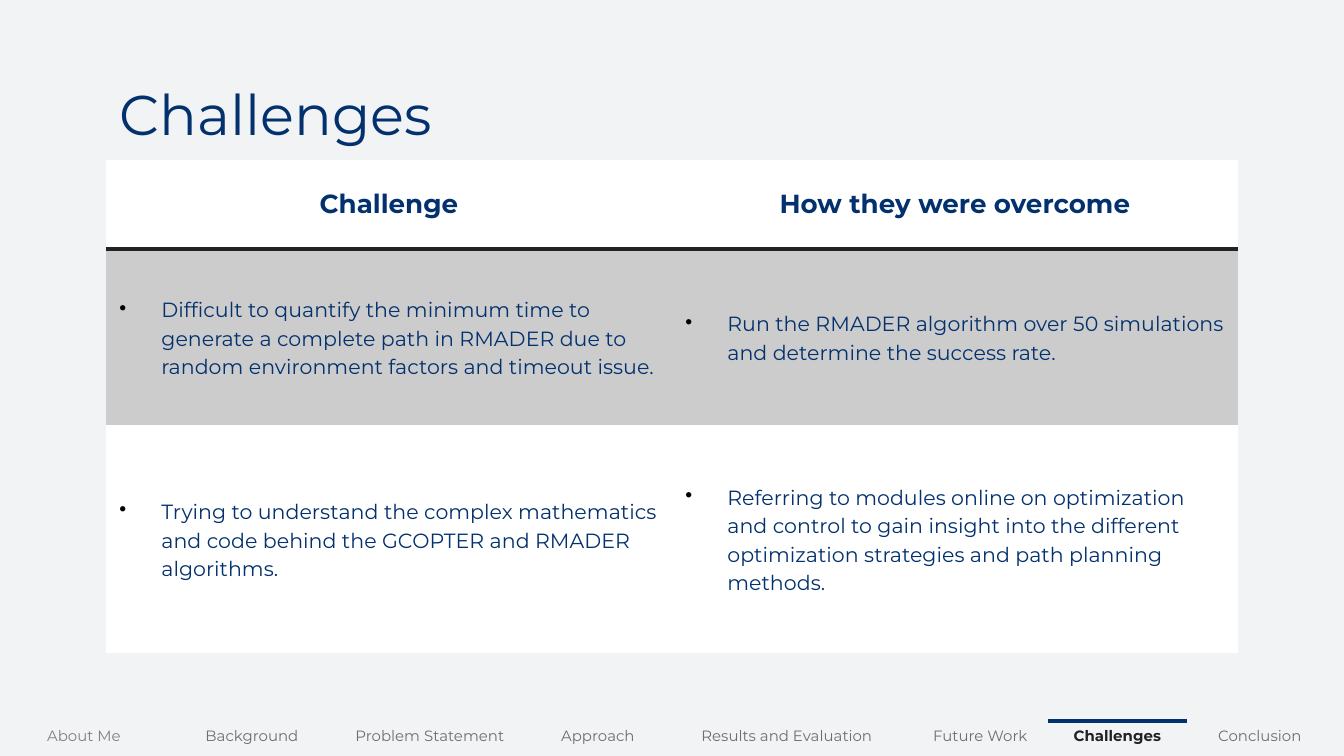
from lxml import etree
from pptx import Presentation
from pptx.dml.color import RGBColor
from pptx.enum.shapes import MSO_CONNECTOR
from pptx.enum.text import MSO_ANCHOR, MSO_AUTO_SIZE, PP_ALIGN
from pptx.oxml import parse_xml
from pptx.oxml.ns import nsdecls, qn
from pptx.util import Pt

# Content
TITLE = "Challenges"
HEADERS = ["Challenge", "How they were overcome"]
CHALLENGES = [
    ("Difficult to quantify the minimum time to generate a complete path in RMADER "
     "due to random environment factors and timeout issue.",
     "Run the RMADER algorithm over 50 simulations and determine the success rate."),
    ("Trying to understand the complex mathematics and code behind the GCOPTER and "
     "RMADER algorithms.",
     "Referring to modules online on optimization and control to gain insight into "
     "the different optimization strategies and path planning methods."),
]
SECTIONS = [  # name, column width
    ("About Me", 168), ("Background", 168), ("Problem Statement", 188),
    ("Approach", 148), ("Results and Evaluation", 230), ("Future Work", 157),
    ("Challenges", 117), ("Conclusion", 168),
]

# Style
FONT = "Montserrat"
NAVY = RGBColor(0x03, 0x31, 0x6E)
INK = RGBColor(0x22, 0x22, 0x22)
GREY = RGBColor(0x6E, 0x6E, 0x6E)
LIGHT_GREY = RGBColor(0x80, 0x80, 0x80)
BAND = RGBColor(0xCC, 0xCC, 0xCC)
WHITE = RGBColor(0xFF, 0xFF, 0xFF)
BACKGROUND = RGBColor(0xF1, 0xF3, 0xF5)
PLAIN_TABLE = "{2D5ABB26-0587-4C30-8999-92F81FD0307C}"

# Layout in px
WIDTH, HEIGHT = 1344, 756
LEFT, CONTENT_WIDTH = 106, 1132
TABLE_TOP, ROW_HEIGHTS = 160, [89, 176, 228]
NAV_TOP, NAV_HEIGHT = 720, 35
MARKER_OVERHANG = 11
INDENT = 42


def px(length):
    return round(length * 914400 / 134.4)


def set_text(paragraph, text, size, color, bold=False, align=PP_ALIGN.LEFT):
    paragraph.text = text
    paragraph.alignment = align
    formats = {"name": FONT, "size": Pt(size), "bold": bold}
    for name, value in formats.items():
        setattr(paragraph.font, name, value)
    paragraph.font.color.rgb = color


def add_plain_table(left, top, widths, heights):
    frame = slide.shapes.add_table(len(heights), len(widths), px(left), px(top),
                                   px(sum(widths)), px(sum(heights)))
    table = frame.table
    table.first_row = table.horz_banding = False
    table._tbl.tblPr.find(qn("a:tableStyleId")).text = PLAIN_TABLE
    for column, width in zip(table.columns, widths):
        column.width = px(width)
    for row, height in zip(table.rows, heights):
        row.height = px(height)
    return table


def add_bullet(paragraph):
    properties = paragraph._p.get_or_add_pPr()
    properties.set("marL", str(px(INDENT)))
    properties.set("indent", str(-px(INDENT)))
    color = etree.SubElement(properties, qn("a:buClr"))
    etree.SubElement(color, qn("a:srgbClr"), val="000000")
    etree.SubElement(properties, qn("a:buChar"), char="•")
    paragraph.line_spacing = 1.14


def add_bottom_border(cell, color, points):
    cell._tc.get_or_add_tcPr().insert(0, parse_xml(
        f'<a:lnB {nsdecls("a")} w="{Pt(points)}"><a:solidFill>'
        f'<a:srgbClr val="{color}"/></a:solidFill></a:lnB>'))


presentation = Presentation()
presentation.slide_width, presentation.slide_height = px(WIDTH), px(HEIGHT)
slide = presentation.slides.add_slide(presentation.slide_layouts[5])
slide.background.fill.solid()
slide.background.fill.fore_color.rgb = BACKGROUND

# Title
title = slide.shapes.title
title.left, title.top, title.width, title.height = map(px, (LEFT, 66, CONTENT_WIDTH, 85))
title_format = {
    "auto_size": MSO_AUTO_SIZE.NONE, "vertical_anchor": MSO_ANCHOR.TOP, "word_wrap": True,
    **{f"margin_{side}": Pt(7.2) for side in ("left", "top", "right", "bottom")},
}
for name, value in title_format.items():
    setattr(title.text_frame, name, value)
set_text(title.text_frame.paragraphs[0], TITLE, 30, NAVY)

# Table of challenges
column_widths = [CONTENT_WIDTH // len(HEADERS)] * len(HEADERS)
table = add_plain_table(LEFT, TABLE_TOP, column_widths, ROW_HEIGHTS)
for row, texts in enumerate([HEADERS, *CHALLENGES]):
    for column, text in enumerate(texts):
        cell = table.cell(row, column)
        cell.vertical_anchor = MSO_ANCHOR.MIDDLE
        cell.fill.solid()
        cell.fill.fore_color.rgb = BAND if row % 2 else WHITE
        paragraph = cell.text_frame.paragraphs[0]
        if row == 0:
            add_bottom_border(cell, INK, 2)
            set_text(paragraph, text, 14, NAVY, True, PP_ALIGN.CENTER)
        else:
            add_bullet(paragraph)
            set_text(paragraph, text, 11, NAVY)

# Section bar with a marker over the current section
section_widths = [width for _, width in SECTIONS]
bar = add_plain_table(0, NAV_TOP, section_widths, [NAV_HEIGHT])
for column, (section, width) in enumerate(SECTIONS):
    cell = bar.cell(0, column)
    cell.margin_left = cell.margin_right = 0
    current = section == TITLE
    color = INK if current else GREY if column else LIGHT_GREY
    set_text(cell.text_frame.paragraphs[0], section, 8, color, current, PP_ALIGN.CENTER)
    if current:
        start = sum(section_widths[:column])
        marker = slide.shapes.add_connector(
            MSO_CONNECTOR.STRAIGHT, px(start - MARKER_OVERHANG), px(NAV_TOP + 1),
            px(start + width + MARKER_OVERHANG), px(NAV_TOP + 1))
        marker.line.color.rgb = NAVY
        marker.line.width = Pt(2.25)
        etree.SubElement(marker._element.spPr, qn("a:effectLst"))

presentation.save("out.pptx")
